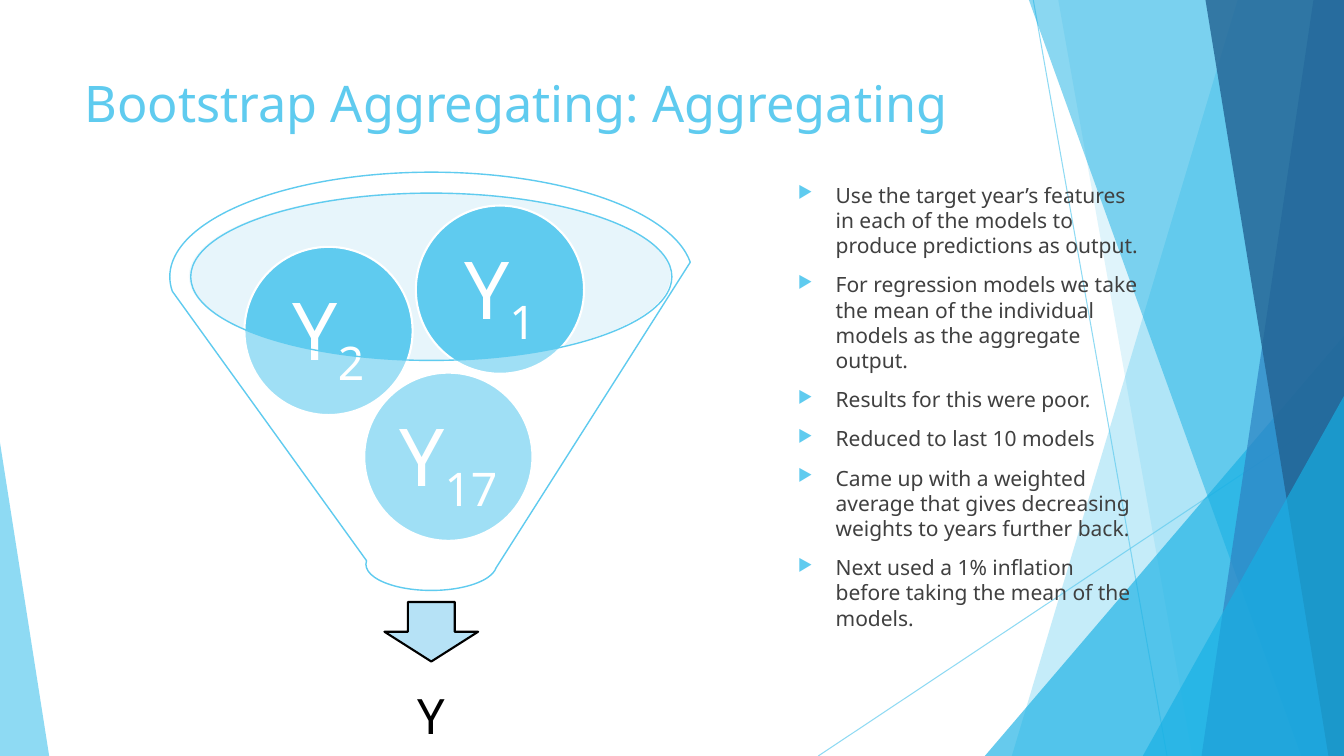
from lxml import etree
from pptx import Presentation
from pptx import util as u
from pptx.dml import color
from pptx.enum import shapes, text
from pptx.oxml import ns

COLORS = {
    "sky": "5FCBEF", "cyan": "17B0E4", "blue": "2E83C3", "navy": "226292",
    "rim": "C5E7F7", "arrow": "B6E2F6", "white": "FFFFFF", "black": "000000",
    "body": "404040",
}
FONT = "Noto Sans"
KIND = shapes.MSO_SHAPE
CENTER = {"alignment": text.PP_ALIGN.CENTER, "line_spacing": 0.9}


def apply(target, values):
    for name, value in values.items():
        setattr(target, name, value)


def rgb(name):
    return color.RGBColor.from_string(COLORS[name])


def add_alpha(holder, percent):
    for node in holder.iter(ns.qn("a:srgbClr")):
        etree.SubElement(node, ns.qn("a:alpha"), val=str(percent * 1000))


def paint(shape, fill, alpha=100, line=None, weight=1):
    shape.shadow.inherit = False
    shape.fill.solid()
    shape.fill.fore_color.rgb = rgb(fill)
    if alpha < 100:
        add_alpha(shape._element.spPr, alpha)
    if line:
        shape.line.color.rgb = rgb(line)
        shape.line.width = u.Pt(weight)
    else:
        shape.line.fill.background()


def add_part(page, kind, box, *style):
    shape = page.shapes.add_shape(kind, *map(u.Cm, box))
    paint(shape, *style)
    return shape


def set_frame(frame, inset, **values):
    sides = ("margin_left", "margin_top", "margin_right", "margin_bottom")
    apply(frame, {**dict.fromkeys(sides, u.Cm(inset)), **values})


def add_span(para, words, size, tint, lowered=False):
    span = para.add_run()
    span.text = words
    apply(span.font, {"name": FONT, "size": u.Pt(size)})
    span.font.color.rgb = rgb(tint)
    if lowered:
        span._r.get_or_add_rPr().set("baseline", "-25000")


def add_backdrop(page, box):
    left, top, width, height = box
    right, bottom = left + width, top + height
    for start, end in (((26.04, 0), (29.41, height)), ((width, 10.24), (20.62, height))):
        ends = (left + start[0], top + start[1], left + end[0], top + end[1])
        line = page.shapes.add_connector(shapes.MSO_CONNECTOR.STRAIGHT, *map(u.Cm, ends))
        line.line.color.rgb = rgb("sky")
        line.line.width = u.Pt(0.75)
        properties = line._element.spPr
        add_alpha(properties, 70)
        etree.SubElement(properties, ns.qn("a:effectLst"))

    def add_panel(upper, lower, fill, alpha):
        corners = [(right, top), (right, bottom), (left + lower, bottom)]
        outline = page.shapes.build_freeform(u.Cm(left + upper), u.Cm(top))
        outline.add_line_segments([tuple(map(u.Cm, corner)) for corner in corners])
        paint(outline.convert_to_shape(), fill, alpha)

    def add_wedge(x, y, wide, peak, fill, alpha):
        wedge = add_part(page, KIND.ISOSCELES_TRIANGLE,
                         (left + x, top + y, wide, height - y), fill, alpha)
        wedge.adjustments[0] = peak

    add_panel(31.19, 25.5, "sky", 36)
    add_panel(26.67, 30.05, "sky", 20)
    add_wedge(24.82, 8.46, width - 24.82, 1, "cyan", 66)
    add_panel(25.93, 32.79, "cyan", 50)
    add_panel(33.1, 30.28, "blue", 70)
    add_panel(30.38, 33.48, "navy", 80)
    add_wedge(28.8, 9.98, width - 28.8, 1, "cyan", 66)
    add_wedge(0, 11.15, 1.24, 0, "sky", 70)


def add_title(page, box, words):
    frame = page.shapes.add_textbox(*map(u.Cm, box)).text_frame
    frame.word_wrap = True
    add_span(frame.paragraphs[0], words, 36, "sky")


def add_funnel(page, box, models, result):
    left, top, width, height = box
    add_part(page, KIND.OVAL, (left + 0.48, top + 0.51, 12.14, 4.22), "rim", 40)
    add_part(page, KIND.DOWN_ARROW, (left + 5.41, top + 10.83, 2.36, 1.5),
             "arrow", 100, "black", 1.5)
    output = page.shapes.add_textbox(
        *map(u.Cm, (left + 0.94, top + 11.47, 11.28, 2.77)))
    set_frame(output.text_frame, 1.19, word_wrap=True,
              vertical_anchor=text.MSO_ANCHOR.MIDDLE)
    para = output.text_frame.paragraphs[0]
    apply(para, CENTER)
    add_span(para, result, 60, "black", True)
    for number, x, y in models:
        ball = add_part(page, KIND.OVAL, (left + x, top + y, 4.24, 4.24),
                        "sky", 100, "white", 1.5)
        set_frame(ball.text_frame, 0.2, word_wrap=False,
                  vertical_anchor=text.MSO_ANCHOR.MIDDLE)
        para = ball.text_frame.paragraphs[0]
        apply(para, CENTER)
        add_span(para, "Y", 57, "white")
        add_span(para, number, 57, "white", True)
    add_part(page, KIND.FUNNEL, (left, top, width, height), "white", 40, "sky", 1)


def add_bullets(page, box, points):
    frame = page.shapes.add_textbox(*map(u.Cm, box)).text_frame
    frame.word_wrap = True
    for index, point in enumerate(points):
        para = frame.add_paragraph() if index else frame.paragraphs[0]
        apply(para, {"line_spacing": 1.0, "space_after": u.Pt(10)})
        properties = para._p.get_or_add_pPr()
        properties.set("marL", str(u.Cm(0.95)))
        properties.set("indent", str(u.Cm(-0.95)))
        tint = etree.SubElement(properties, ns.qn("a:buClr"))
        etree.SubElement(tint, ns.qn("a:srgbClr"), val=COLORS["sky"])
        etree.SubElement(properties, ns.qn("a:buSzPct"), val="80000")
        etree.SubElement(properties, ns.qn("a:buChar"), char="▶")
        add_span(para, point, 15, "body")


deck = Presentation()
apply(deck, {"slide_width": u.Cm(33.87), "slide_height": u.Cm(19.05)})
page = deck.slides.add_slide(deck.slide_layouts[6])
add_backdrop(page, (0, 0, 33.87, 19.05))
add_title(page, (1.88, 1.7, 26.11, 3.66), "Bootstrap Aggregating: Aggregating")
add_funnel(page, (4.28, 4.34, 13.18, 10.54),
           [("17", 4.9, 5.05), ("2", 1.88, 1.88), ("1", 6.2, 0.84)], "Y")
add_bullets(page, (19.86, 4.47, 9.2, 12.98), [
    "Use the target year’s features in each of the models to produce predictions as output.",
    "For regression models we take the mean of the individual models as the aggregate output.",
    "Results for this were poor.",
    "Reduced to last 10 models",
    "Came up with a weighted average that gives decreasing weights to years further back.",
    "Next used a 1% inflation before taking the mean of the models.",
])
deck.save("out.pptx")
